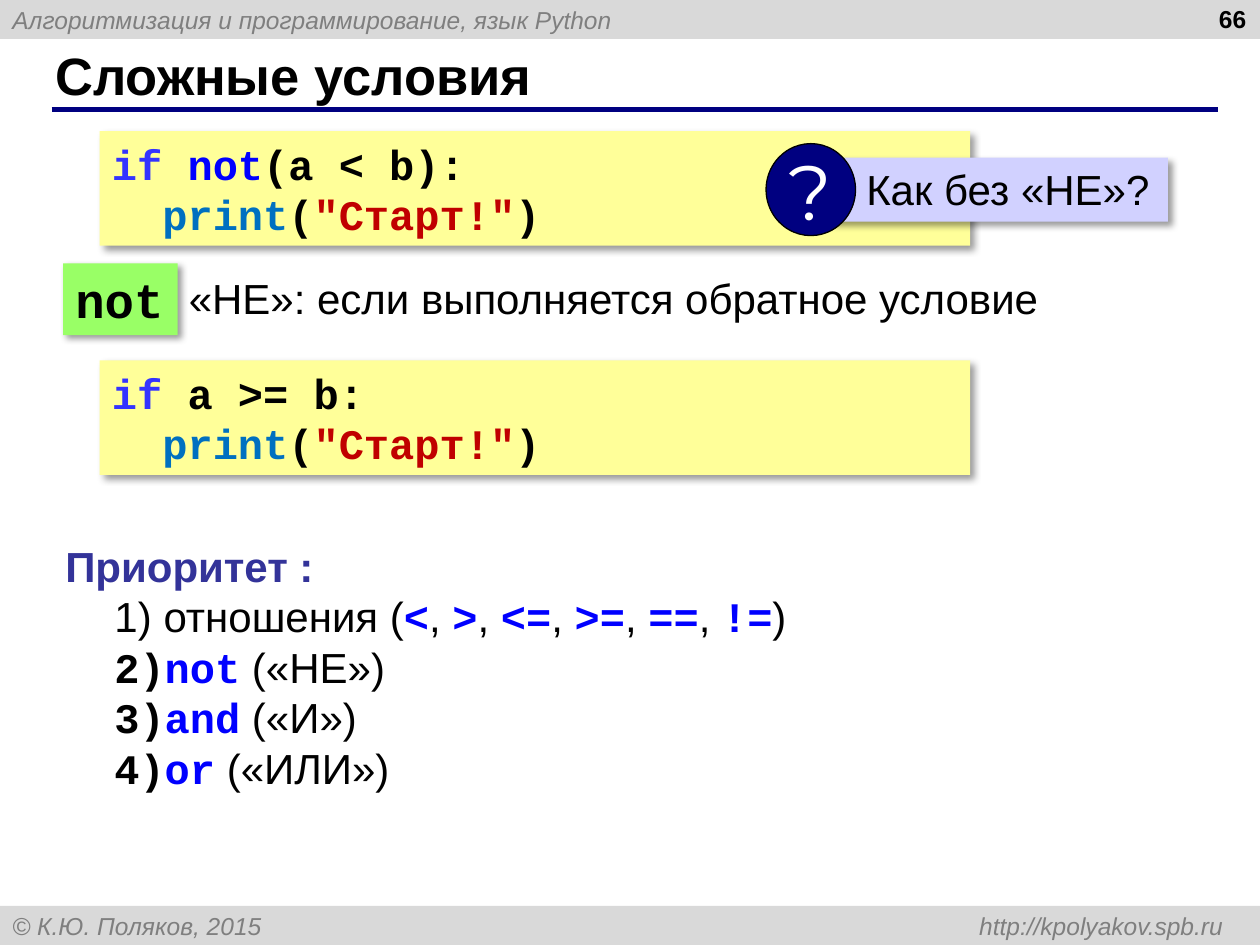
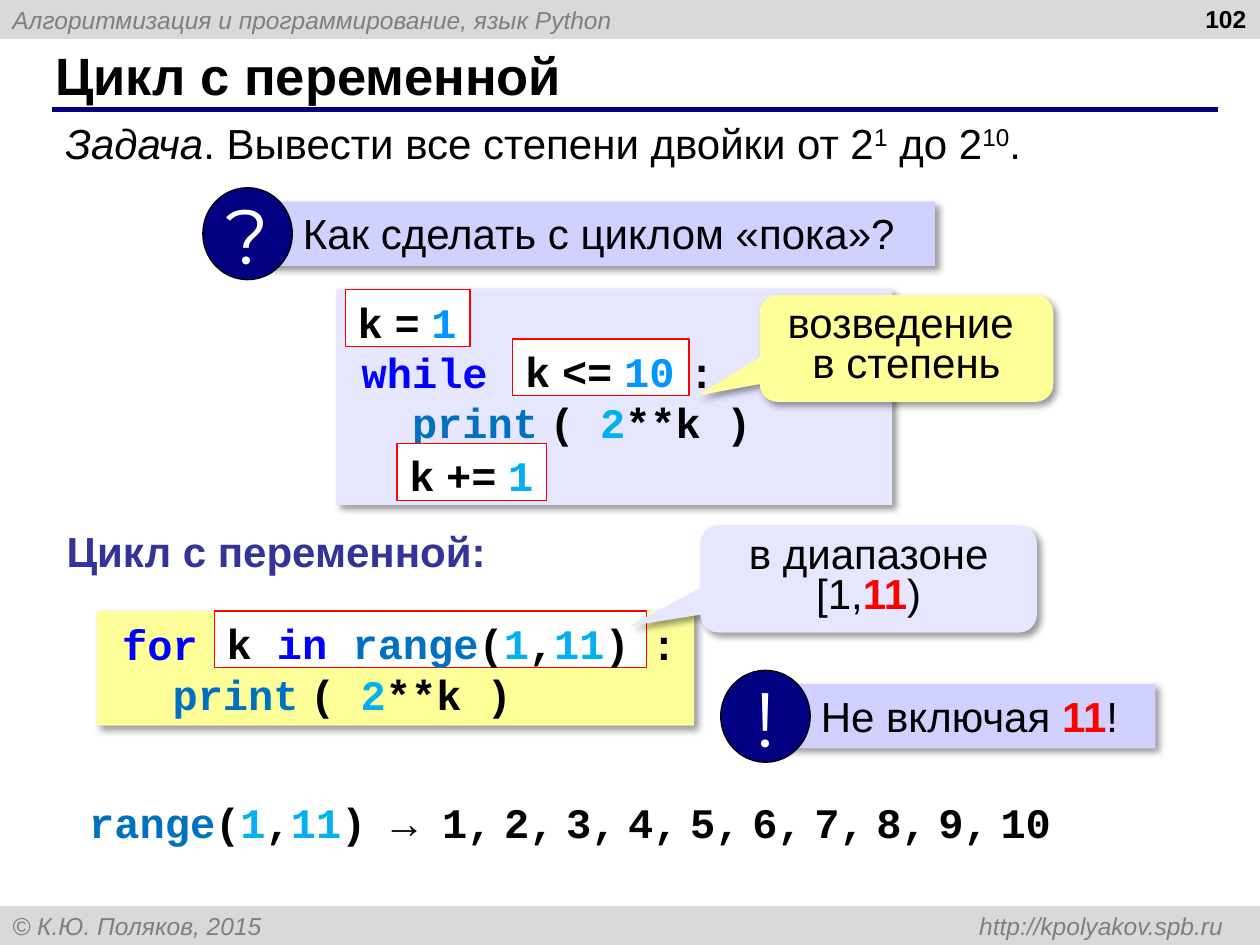
from lxml import etree
from pptx import Presentation
from pptx.dml.color import RGBColor as RGB
from pptx.enum.shapes import MSO_CONNECTOR as LINK, MSO_SHAPE as FORM
from pptx.enum.text import MSO_ANCHOR as ANCHOR, PP_ALIGN as ALIGN
from pptx.oxml import parse_xml
from pptx.oxml.ns import qn
from pptx.util import Inches, Pt

BLACK, WHITE = RGB(0, 0, 0), RGB(255, 255, 255)
GRAY, BAND = RGB(0x7F, 0x7F, 0x7F), RGB(0xD9, 0xD9, 0xD9)
NAVY, INDIGO = RGB(0, 0, 0x80), RGB(0x33, 0x33, 0x99)
BLUE, IRIS = RGB(0, 0, 255), RGB(0x33, 0x33, 255)
OCEAN, SKY, AZURE = RGB(0, 0x70, 0xC0), RGB(0, 0xB0, 0xF0), RGB(0, 0x95, 255)
RED, BRICK = RGB(255, 0, 0), RGB(0xC0, 0, 0)
YELLOW, GREEN = RGB(255, 255, 0x99), RGB(0x99, 255, 0x66)
LILAC, PALE = RGB(0xD1, 0xD1, 255), RGB(0xE6, 0xE6, 255)
WIDE, HIGH = 100, 75
TOPIC = "Алгоритмизация и программирование, язык Python"
CREDIT = "© К.Ю. Поляков, 2015\thttp://kpolyakov.spb.ru"


def sans(color=BLACK, size=24, **more):
    return dict(name="Arial", size=Pt(size), color=color, **more)


def mono(color=BLACK, size=24):
    return dict(name="Courier New", size=Pt(size), color=color, bold=True)


STYLES = {
    "text": sans(), "ital": sans(italic=True), "sup": sans(base=30000),
    "head": sans(INDIGO, bold=True), "hot": sans(RED, bold=True),
    "title": sans(size=30, bold=True), "page": sans(size=14, bold=True),
    "band": sans(GRAY, 14, italic=True), "gap": sans(bold=True),
    "mark": dict(name="Montserrat", size=Pt(44), color=WHITE),
    "code": mono(), "big": mono(size=28), "if": mono(IRIS), "key": mono(BLUE),
    "call": mono(OCEAN), "num": mono(SKY), "lit": mono(AZURE), "str": mono(BRICK),
}

CODE = dict(fill=YELLOW, shade=True, anchor=ANCHOR.MIDDLE)
LOOP = dict(CODE, left=2)
BUBBLE = dict(form=FORM.ROUNDED_RECTANGULAR_CALLOUT, shade=True, space=0.8,
              align=ALIGN.CENTER, adjust=(-0.711, 0.439, 0.167))
KINDS = {
    "plain": dict(), "free": dict(wrap=False),
    "band": dict(fill=BAND, anchor=ANCHOR.MIDDLE, tab=9.61),
    "title": dict(anchor=ANCHOR.MIDDLE), "page": dict(align=ALIGN.RIGHT),
    "code": CODE, "while": dict(LOOP, fill=PALE, tab=2.6),
    "for": dict(LOOP, tab=4.2, right=0.5),
    "word": dict(fill=GREEN, shade=True, wrap=False),
    "frame": dict(fill=WHITE, line=RED, wrap=False, base=0),
    "rank": dict(ranked=True),
    "note": dict(fill=LILAC, shade=True, left=2.85),
    "disc": dict(form=FORM.OVAL, fill=NAVY, line=BLACK, wrap=False,
                 anchor=ANCHOR.MIDDLE, align=ALIGN.CENTER),
    "blue": dict(BUBBLE, fill=PALE), "gold": dict(BUBBLE, fill=YELLOW),
}

START = [("code", "  "), ("call", "print"), ("code", "("), ("str", '"Cтарт!"'), ("code", ")")]
POWER = [("code", "  "), ("call", "print"), ("gap", " "), ("code", "( "),
         ("num", "2"), ("code", "**k )")]
RANGE = [("call", "range"), ("code", "("), ("num", "1"), ("code", ","),
         ("num", "11"), ("code", ")")]


def mix(items, style, sep):
    runs = []
    for item in items:
        runs += [sep, (style, item)]
    return runs[1:]


def step(sign, style, value):
    return [mix(["k", sign], "code", ("gap", " ")) + [("gap", " "), (style, value)]]


SIGNS = mix(["<", ">", "<=", ">=", "==", "!="], "key", ("text", ", "))
WORDS = [("not", "НЕ"), ("and", "И"), ("or", "ИЛИ")]
COUNT = mix([f"{n}," for n in range(1, 10)] + ["10"], "code", ("gap", " "))

SLIDES = [
    ("Сложные условия", 66, [
        ("code", 7.9, 10.4, 69.1, 9.1, [
            [("if", "if "), ("key", "not"), ("code", "(a < b):")], START]),
        ("word", 5, 20.9, 9.1, 5.7, [[("big", "not")]]),
        ("rank", 4.2, 42.4, 66, 21.2, [
            [("head", "Приоритет :")],
            [("text", "отношения ("), *SIGNS, ("text", ")")],
            *[[("key", word), ("text", f" («{name}»)")] for word, name in WORDS]]),
        ("free", 14, 21.1, 70.1, 5.1, [[("text", "«НЕ»: если выполняется обратное условие")]]),
        ("code", 7.9, 28.6, 69.1, 9.1, [[("if", "if"), ("code", " a >= b:")], START]),
        ("?", 65.9, 12.5, 26.8, 5.1, [[("text", "Как без «НЕ»?")]]),
    ]),
    ("Цикл с переменной", 102, [
        ("plain", 4.2, 8.8, 92.7, 5.1, [
            [("ital", "Задача"), ("text", ". Вывести все степени двойки от 2"), ("sup", "1"),
             ("text", " до 2"), ("sup", "10"), ("text", ".")]]),
        ("?", 21.2, 16, 53, 5.1, [[("text", "Как сделать с циклом «пока»?")]]),
        ("while", 26.7, 22.9, 44.1, 17.2, [[("key", "while"), ("code", "\t:")], POWER]),
        ("frame", 27.4, 23, 9.9, 4.5, step("=", "lit", "1")),
        ("frame", 40.7, 26.9, 14, 4.5, step("<=", "lit", "10")),
        ("frame", 31.5, 35.2, 11.9, 4.5, step("+=", "num", "1")),
        ("for", 7.7, 48.5, 47.4, 9.1, [[("key", "for"), ("code", "\t:")], POWER]),
        ("frame", 17, 48.5, 34.3, 4.5, [[("code", "k "), ("key", "in "), *RANGE]]),
        ("blue", 55.6, 41.7, 26.7, 8.5, [
            [("text", "в диапазоне [1,"), ("hot", "11"), ("text", ")")]]),
        ("free", 4.3, 41.2, 35.6, 5, [[("head", "Цикл с переменной:")]]),
        ("!", 62.3, 54.3, 29.4, 5.1, [[("text", "Не включая "), ("hot", "11"), ("text", "!")]]),
        ("free", 6.1, 62.7, 81.3, 5.1, [[*RANGE, ("code", " → "), *COUNT]]),
        ("gold", 60.3, 23.4, 23.3, 8.5, [[("text", "возведение ")], [("text", "в степень")]]),
    ]),
]

NS = 'xmlns:a="http://schemas.openxmlformats.org/drawingml/2006/main"'
SHADE = (f'<a:effectLst {NS}><a:outerShdw blurRad="50800" dist="38100" dir="2700000" '
         'algn="tl" rotWithShape="0"><a:srgbClr val="000000"><a:alpha val="40000"/>'
         '</a:srgbClr></a:outerShdw></a:effectLst>')


def cell(count):
    return Inches(count / 10)


def write(para, runs):
    for style, text in runs:
        run = para.add_run()
        run.text = text
        for key, value in STYLES[style].items():
            if key == "color":
                run.font.color.rgb = value
            elif key == "base":
                run._r.get_or_add_rPr().set("baseline", str(value))
            else:
                setattr(run.font, key, value)


def rank(para):
    props = para._p.get_or_add_pPr()
    props.set("marL", str(Inches(0.78)))
    props.set("indent", str(Inches(-0.39)))
    tint = etree.SubElement(props, qn("a:buClr"))
    etree.SubElement(tint, qn("a:srgbClr"), val=str(BLACK))
    etree.SubElement(props, qn("a:buAutoNum"), type="arabicParenR")


def stop(para, place, side):
    tabs = etree.SubElement(para._p.get_or_add_pPr(), qn("a:tabLst"))
    etree.SubElement(tabs, qn("a:tab"), pos=str(Inches(place)), algn=side)


def paint(shape, look):
    shape.shadow.inherit = False
    shape.fill.solid()
    shape.fill.fore_color.rgb = look["fill"]
    if "line" in look:
        shape.line.color.rgb = look["line"]
        shape.line.width = Pt(0.75)
    else:
        shape.line.fill.background()
    if look.get("shade"):
        props = shape._element.spPr
        props.replace(props.find(qn("a:effectLst")), parse_xml(SHADE))
    for spot, value in enumerate(look.get("adjust", ())):
        shape.adjustments[spot] = value


def place(slide, kind, x, y, w, h, paras):
    look = KINDS[kind]
    box = [cell(side) for side in (x, y, w, h)]
    if "fill" in look:
        shape = slide.shapes.add_shape(look.get("form", FORM.RECTANGLE), *box)
        paint(shape, look)
    else:
        shape = slide.shapes.add_textbox(*box)
    frame = shape.text_frame
    frame.word_wrap = look.get("wrap", True)
    frame.vertical_anchor = look.get("anchor", ANCHOR.TOP)
    frame.margin_left = cell(look.get("left", 1))
    frame.margin_right = cell(look.get("right", 1))
    frame.margin_bottom = cell(look.get("base", 0.5))
    for row, runs in enumerate(paras):
        para = frame.add_paragraph() if row else frame.paragraphs[0]
        para.alignment = look.get("align", ALIGN.LEFT)
        if "space" in look:
            para.line_spacing = look["space"]
        if row and look.get("ranked"):
            rank(para)
        if "tab" in look:
            stop(para, look["tab"], "r" if kind == "band" else "l")
        write(para, runs)


def base(slide, title, page):
    place(slide, "band", 0, 0, WIDE, 3.1, [[("band", TOPIC)]])
    place(slide, "band", 0, HIGH - 3.1, WIDE, 3.1, [[("band", CREDIT)]])
    rule = slide.shapes.add_connector(LINK.STRAIGHT, cell(4.1), cell(8.7), cell(96.7), cell(8.7))
    rule.line.color.rgb = NAVY
    rule.line.width = Pt(3)
    etree.SubElement(rule._element.spPr, qn("a:effectLst"))
    place(slide, "title", 3.4, 3.3, 91.6, 5.2, [[("title", title)]])
    place(slide, "page", 76.6, -0.2, 23.3, 5.2, [[("page", str(page))]])


def main():
    deck = Presentation()
    deck.slide_width, deck.slide_height = cell(WIDE), cell(HIGH)
    for title, page, parts in SLIDES:
        slide = deck.slides.add_slide(deck.slide_layouts[6])
        base(slide, title, page)
        for kind, x, y, w, h, paras in parts:
            if kind in "?!":
                place(slide, "note", x, y, w, h, paras)
                place(slide, "disc", x - 5.1, y - 1.1, 7.1, 7.3, [[("mark", kind)]])
            else:
                place(slide, kind, x, y, w, h, paras)
    deck.save("out.pptx")


if __name__ == "__main__":
    main()
